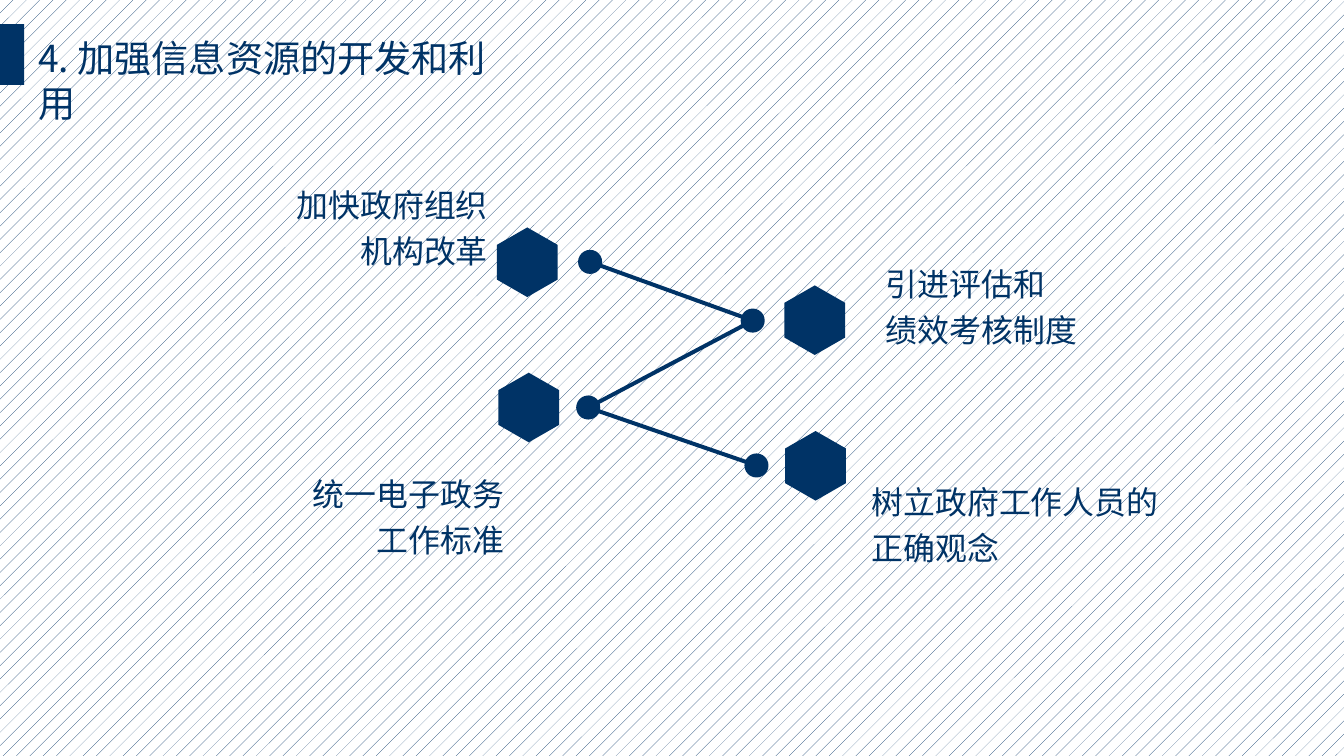
"""Build the slide on developing and using information resources."""
from itertools import pairwise

from lxml import etree
from pptx import Presentation
from pptx.dml.color import RGBColor
from pptx.enum.dml import MSO_PATTERN
from pptx.enum.shapes import MSO_CONNECTOR, MSO_SHAPE
from pptx.enum.text import PP_ALIGN
from pptx.oxml.ns import qn
from pptx.util import Cm, Pt

COLORS = {"navy": RGBColor.from_string("003366"), "white": RGBColor.from_string("FFFFFF")}
CJK_FONT = "Noto Sans CJK SC"
HEX_W, HEX_H, DOT = 1.61, 1.85, 0.64


def paint(sp):
    sp.shadow.inherit = False
    sp.fill.solid()
    sp.fill.fore_color.rgb = COLORS["navy"]
    sp.line.fill.background()


def add_text(box, lines, size, font, align=PP_ALIGN.LEFT, spacing=1.0):
    tf = slide.shapes.add_textbox(*map(Cm, box)).text_frame
    tf.word_wrap = True
    tf.text = "\n".join(lines)
    for p in tf.paragraphs:
        p.alignment = align
        p.line_spacing = spacing
        for r in p.runs:
            r.font.size = Pt(size)
            r.font.name = font
            r.font.color.rgb = COLORS["navy"]
            etree.SubElement(r.font._element, qn("a:ea"), typeface=CJK_FONT)
    return tf


prs = Presentation()
prs.slide_width, prs.slide_height = Cm(35.71), Cm(20.09)
slide = prs.slides.add_slide(prs.slide_layouts[6])

bg = slide.background.fill
bg.patterned()
bg.pattern = MSO_PATTERN.PERCENT_5
bg.fore_color.rgb = COLORS["navy"]
bg.back_color.rgb = COLORS["white"]

hexagons = [(14.01, 6.97), (21.65, 8.51), (14.05, 10.83), (21.67, 12.38)]
for x, y in hexagons:
    left, right = x - HEX_W / 2, x + HEX_W / 2
    upper, lower = y - HEX_H / 4, y + HEX_H / 4
    corners = [(right, upper), (right, lower), (x, y + HEX_H / 2), (left, lower), (left, upper)]
    builder = slide.shapes.build_freeform(Cm(x), Cm(y - HEX_H / 2))
    builder.add_line_segments([(Cm(a), Cm(b)) for a, b in corners], close=True)
    paint(builder.convert_to_shape())

dots = [(15.68, 6.96), (20.0, 8.52), (15.63, 10.83), (20.1, 12.37)]
for start, end in pairwise(dots):
    link = slide.shapes.add_connector(MSO_CONNECTOR.STRAIGHT, *map(Cm, start + end))
    link.line.color.rgb = COLORS["navy"]
    link.line.width = Pt(3)
    etree.SubElement(link._element.spPr, qn("a:effectLst"))
for x, y in dots:
    paint(slide.shapes.add_shape(
        MSO_SHAPE.OVAL, Cm(x - DOT / 2), Cm(y - DOT / 2), Cm(DOT), Cm(DOT)))

labels = [
    ((7.47, 4.6, 5.74, 2.72), ["加快政府组织机构改革"], PP_ALIGN.RIGHT),
    ((7.47, 12.29, 6.17, 2.72), ["统一电子政务工作标准"], PP_ALIGN.RIGHT),
    ((23.29, 6.71, 5.97, 2.62), ["引进评估和", "绩效考核制度"], PP_ALIGN.LEFT),
    ((22.91, 12.5, 8.3, 2.62), ["树立政府工作人员的", "正确观念"], PP_ALIGN.LEFT),
]
for box, lines, align in labels:
    add_text(box, lines, 24, "Arial", align, 1.2)

paint(slide.shapes.add_shape(MSO_SHAPE.RECTANGLE, 0, Cm(0.64), Cm(0.64), Cm(1.62)))
title = add_text((1.02, 0.94, 12.5, 1.2), ["4. 加强信息资源的开发和利用"], 28, CJK_FONT)
title.margin_left = title.margin_right = title.margin_top = title.margin_bottom = 0

prs.save("out.pptx")
